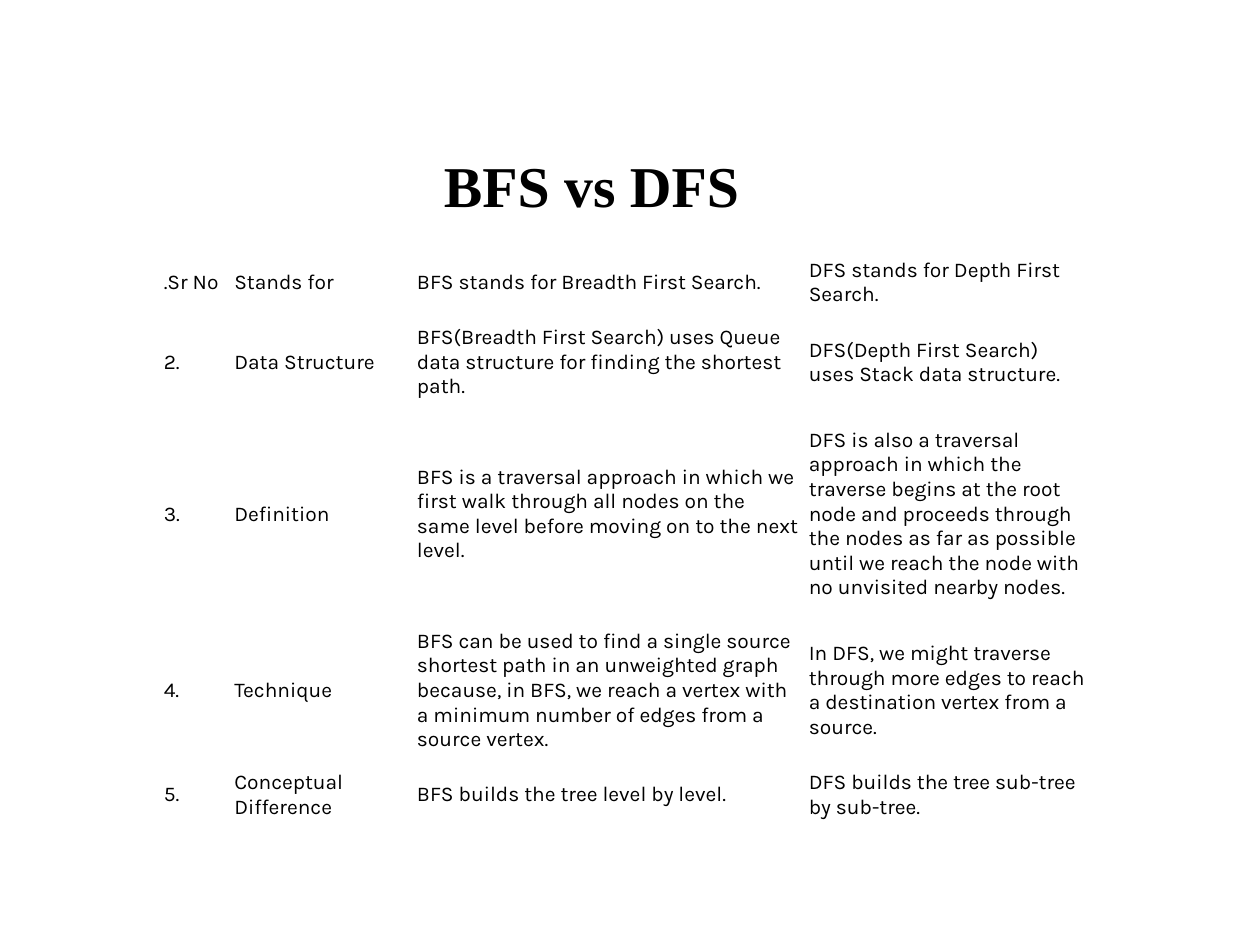
from dataclasses import dataclass

from pptx import Presentation
from pptx.dml.color import RGBColor
from pptx.enum.text import MSO_ANCHOR, PP_ALIGN
from pptx.util import Inches, Pt


@dataclass(frozen=True)
class Theme:
    ink: RGBColor = RGBColor(0, 0, 0)
    paper: RGBColor = RGBColor(255, 255, 255)
    title_font: str = "Times New Roman"
    body_font: str = "Karla"
    title_size: int = 33
    body_size: int = 12


@dataclass(frozen=True)
class Comparison:
    number: str
    topic: str
    bfs: str
    dfs: str
    height: float

    def texts(self) -> tuple[str, ...]:
        return self.number, self.topic, self.bfs, self.dfs


THEME = Theme()
COLUMN_WIDTHS = (0.56, 1.45, 3.11, 2.28)
COMPARISONS = (
    Comparison(".Sr No", "Stands for", "BFS stands for Breadth First Search.",
               "DFS stands for Depth First Search.", 0.44),
    Comparison("2.", "Data Structure",
               "BFS(Breadth First Search) uses Queue data structure for "
               "finding the shortest path.",
               "DFS(Depth First Search) uses Stack data structure.", 0.77),
    Comparison("3.", "Definition",
               "BFS is a traversal approach in which we first walk through all "
               "nodes on the same level before moving on to the next level.",
               "DFS is also a traversal approach in which the traverse begins at "
               "the root node and proceeds through the nodes as far as possible "
               "until we reach the node with no unvisited nearby nodes.", 1.64),
    Comparison("4.", "Technique",
               "BFS can be used to find a single source shortest path in an "
               "unweighted graph because, in BFS, we reach a vertex with a "
               "minimum number of edges from a source vertex.",
               "In DFS, we might traverse through more edges to reach a "
               "destination vertex from a source.", 1.16),
    Comparison("5.", "Conceptual Difference", "BFS builds the tree level by level.",
               "DFS builds the tree sub-tree by sub-tree.", 0.44),
)


def add_span(para, text: str, font: str, size: int, bold: bool) -> None:
    span = para.add_run()
    span.text = text
    span.font.name = font
    span.font.size = Pt(size)
    span.font.bold = bold
    span.font.color.rgb = THEME.ink


def add_title(page, text: str) -> None:
    box = page.shapes.add_textbox(Inches(1.14), Inches(1.17), Inches(7.11), Inches(0.65))
    frame = box.text_frame
    frame.word_wrap = True
    frame.vertical_anchor = MSO_ANCHOR.MIDDLE
    para = frame.paragraphs[0]
    para.alignment = PP_ALIGN.CENTER
    para.line_spacing = 0.9
    add_span(para, text, THEME.title_font, THEME.title_size, True)


def fill_cell(cell, text: str) -> None:
    cell.fill.solid()
    cell.fill.fore_color.rgb = THEME.paper
    cell.vertical_anchor = MSO_ANCHOR.MIDDLE
    cell.margin_left = cell.margin_right = Inches(0.04)
    cell.margin_top = cell.margin_bottom = Pt(3.45)
    add_span(cell.text_frame.paragraphs[0], text, THEME.body_font, THEME.body_size, False)


def add_comparison_table(page) -> None:
    height = sum(row.height for row in COMPARISONS)
    table = page.shapes.add_table(
        len(COMPARISONS), len(COLUMN_WIDTHS), Inches(1.26), Pt(143.6),
        Inches(sum(COLUMN_WIDTHS)), Inches(height)).table
    table.first_row = table.horz_banding = False
    for column, width in zip(table.columns, COLUMN_WIDTHS):
        column.width = Inches(width)
    for row, comparison in zip(table.rows, COMPARISONS):
        row.height = Inches(comparison.height)
        for cell, text in zip(row.cells, comparison.texts()):
            fill_cell(cell, text)


# Deck and page
deck = Presentation()
deck.slide_width, deck.slide_height = Inches(10), Inches(7.5)
page = deck.slides.add_slide(deck.slide_layouts[6])

# Content
add_title(page, "BFS vs DFS")
add_comparison_table(page)

deck.save("out.pptx")
